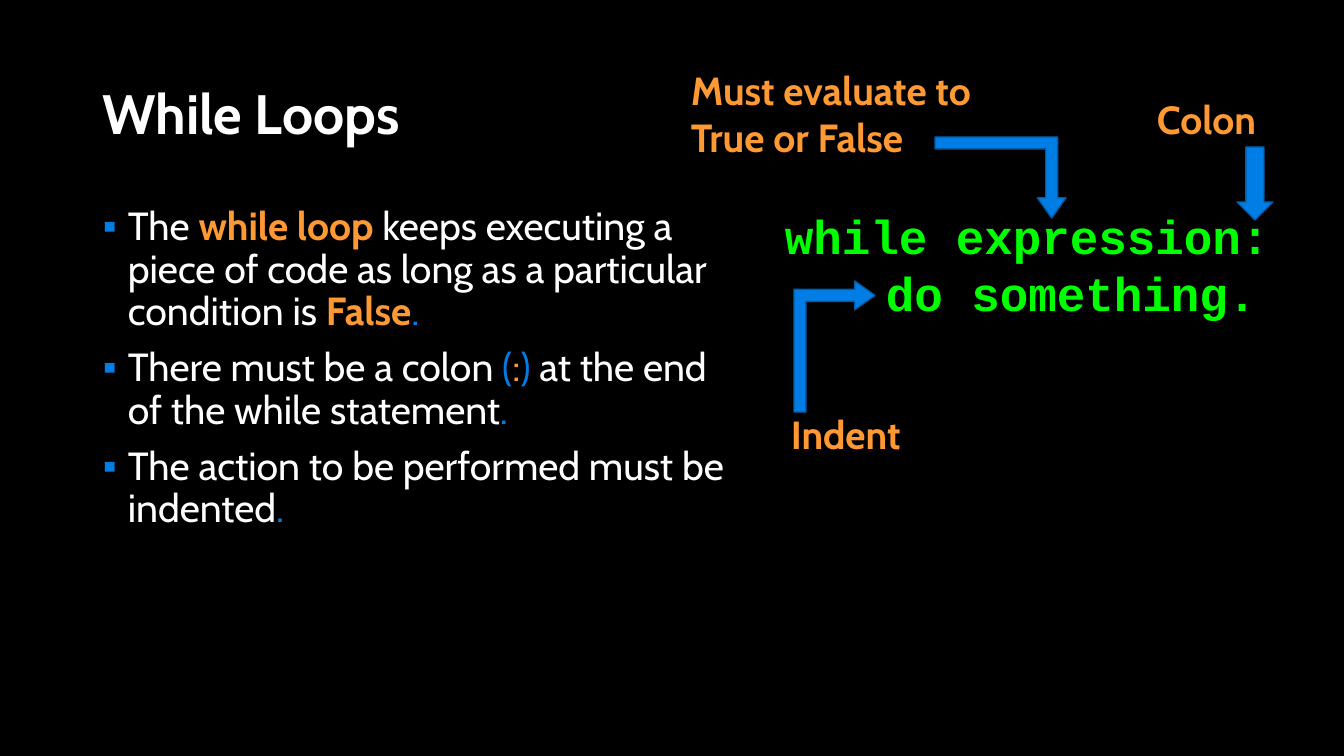
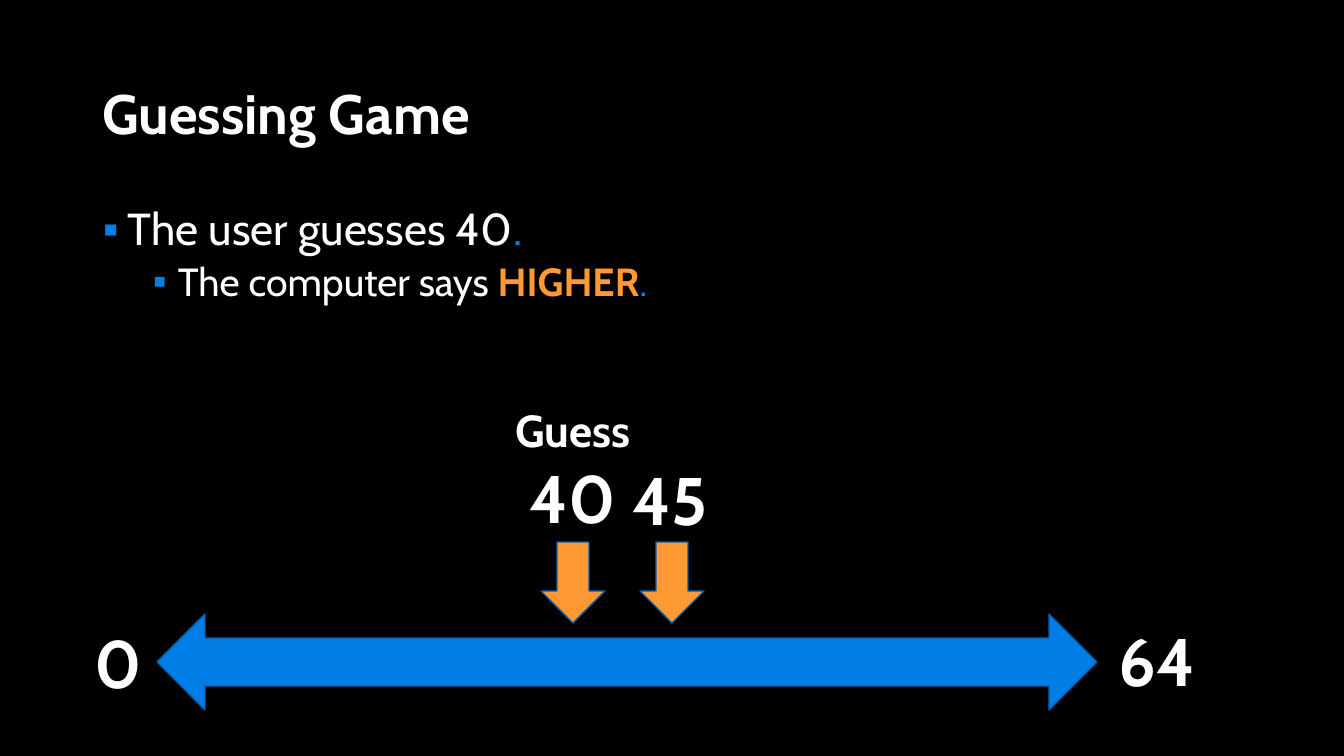
from lxml import etree
from pptx import Presentation
from pptx.dml.color import RGBColor
from pptx.enum.shapes import MSO_SHAPE as SHAPE
from pptx.enum.text import MSO_ANCHOR as ANCHOR, MSO_AUTO_SIZE as FIT, PP_ALIGN as ALIGN
from pptx.oxml.ns import qn
from pptx.util import Emu, Pt

COLORS = {
    "black": "000000", "white": "FFFFFF", "orange": "FF9933", "green": "00FF00",
    "blue": "017EE5", "bullet": "007EE5", "edge": "015DA9",
}
# Run styles of the body text: colour and bold
RUNS = {
    "text": ("white", False), "key": ("orange", True),
    "dot": ("blue", False), "mark": ("orange", False),
}
PX = 914400 / 100.8
INDENT = 25
CODE_INDENT = 101
BENT = (0.147, 0.177, 0.25)


def px(n):
    return Emu(round(n * PX))


def rgb(name):
    return RGBColor.from_string(COLORS[name])


class Deck:
    def __init__(self, width, height):
        self.prs = Presentation()
        self.prs.slide_width, self.prs.slide_height = px(width), px(height)
        self.slide = None

    def font(self, item, size, color="white", bold=True, name="Cabin"):
        f = item.font
        f.name, f.size, f.bold = name, Pt(size), bold
        f.color.rgb = rgb(color)

    def indent(self, p, left, first=0):
        pPr = p._p.get_or_add_pPr()
        pPr.set("marL", str(px(left)))
        pPr.set("indent", str(px(first)))
        return pPr

    def new_slide(self, title):
        self.slide = self.prs.slides.add_slide(self.prs.slide_layouts[5])
        fill = self.slide.background.fill
        fill.solid()
        fill.fore_color.rgb = rgb("black")
        sp = self.slide.shapes.title
        sp.left, sp.top, sp.width, sp.height = map(px, (92, 80, 1159, 73))
        tf = sp.text_frame
        tf.text = title
        tf.auto_size, tf.vertical_anchor = FIT.NONE, ANCHOR.MIDDLE
        p = tf.paragraphs[0]
        p.alignment, p.line_spacing = ALIGN.LEFT, 0.9
        self.font(p, 39.6)

    def label(self, box, lines, size, color="white", name="Cabin", align=ALIGN.LEFT):
        """Unwrapped bold text; each line is a string or a (string, size) pair."""
        tf = self.slide.shapes.add_textbox(*map(px, box)).text_frame
        tf.word_wrap, tf.auto_size = False, FIT.SHAPE_TO_FIT_TEXT
        for i, line in enumerate(lines):
            text, pt = line if isinstance(line, tuple) else (line, size)
            p = tf.add_paragraph() if i else tf.paragraphs[0]
            p.alignment = align
            p.add_run().text = text
            self.font(p, pt, color, name=name)
        return tf

    def bullets(self, box, items):
        """Bulleted text; each item is (level, size, runs)."""
        tf = self.slide.shapes.add_textbox(*map(px, box)).text_frame
        tf.word_wrap = True
        for i, (level, size, runs) in enumerate(items):
            p = tf.add_paragraph() if i else tf.paragraphs[0]
            p.level, p.line_spacing = level, 0.9
            p.space_before = Pt(5 if level else 10)
            pPr = self.indent(p, INDENT * (1 + 2 * level), -INDENT)
            clr = etree.SubElement(pPr, qn("a:buClr"))
            etree.SubElement(clr, qn("a:srgbClr"), val=COLORS["bullet"])
            etree.SubElement(pPr, qn("a:buFont"), typeface="Arial")
            etree.SubElement(pPr, qn("a:buChar"), char="▪")
            for text, style in runs:
                r = p.add_run()
                r.text = text
                self.font(r, size, *RUNS[style])

    def arrow(self, kind, box, color="blue", rotation=0, flip=False, adjust=()):
        sp = self.slide.shapes.add_shape(kind, *map(px, box))
        sp.shadow.inherit = False
        sp.fill.solid()
        sp.fill.fore_color.rgb = rgb(color)
        sp.line.color.rgb = rgb("edge")
        sp.line.width = Pt(1)
        sp.rotation = rotation
        for i, value in enumerate(adjust):
            sp.adjustments[i] = value
        if flip:
            sp._element.spPr.find(qn("a:xfrm")).set("flipH", "1")


deck = Deck(1344, 756)

# While loops: rules on the left, annotated code on the right
deck.new_slide("While Loops")
deck.bullets((93, 202, 666, 533), [
    (0, 28, [("The ", "text"), ("while loop ", "key"),
             ("keeps executing a piece of code as long as a particular condition is ", "text"),
             ("False", "key"), (". ", "dot")]),
    (0, 28, [("There must be a colon ", "text"), ("(", "dot"), (":", "mark"), (")", "dot"),
             (" at the end of the while statement", "text"), (".", "dot")]),
    (0, 28, [("The action to be performed must be indented", "text"), (".", "dot")]),
])
code = deck.label((775, 202, 510, 126), ["while expression:", "do something."],
                  34, "green", "Courier New")
deck.indent(code.paragraphs[1], CODE_INDENT)
deck.label((781, 405, 142, 57), ["Indent"], 28, "orange")
deck.label((681, 61, 345, 105), ["Must evaluate to ", "True or False"], 28, "orange")
deck.label((1147, 90, 129, 57), ["Colon"], 28, "orange")
for left, top, rotation in ((769, 306, 90), (935, 137, 180)):
    deck.arrow(SHAPE.BENT_UP_ARROW, (left, top, 131, 81),
               rotation=rotation, flip=True, adjust=BENT)
deck.arrow(SHAPE.DOWN_ARROW, (1237, 147, 36, 73))

# Guessing game: number line with the guess and the answer
deck.new_slide("Guessing Game")
deck.bullets((93, 202, 1027, 540), [
    (0, 32, [("The user guesses 40", "text"), (".", "dot")]),
    (1, 28, [("The computer says ", "text"), ("HIGHER", "key"), (".", "dot")]),
])
deck.arrow(SHAPE.LEFT_RIGHT_ARROW, (157, 614, 940, 96))
for left in (541, 640):
    deck.arrow(SHAPE.DOWN_ARROW, (left, 542, 64, 81), "orange")
deck.label((85, 616, 59, 92), ["0"], 48)
deck.label((1109, 614, 99, 92), ["64"], 48)
deck.label((623, 453, 99, 92), ["45"], 48)
deck.label((501, 398, 144, 146), ["Guess", ("40", 48)], 32, align=ALIGN.CENTER)

deck.prs.save("out.pptx")
